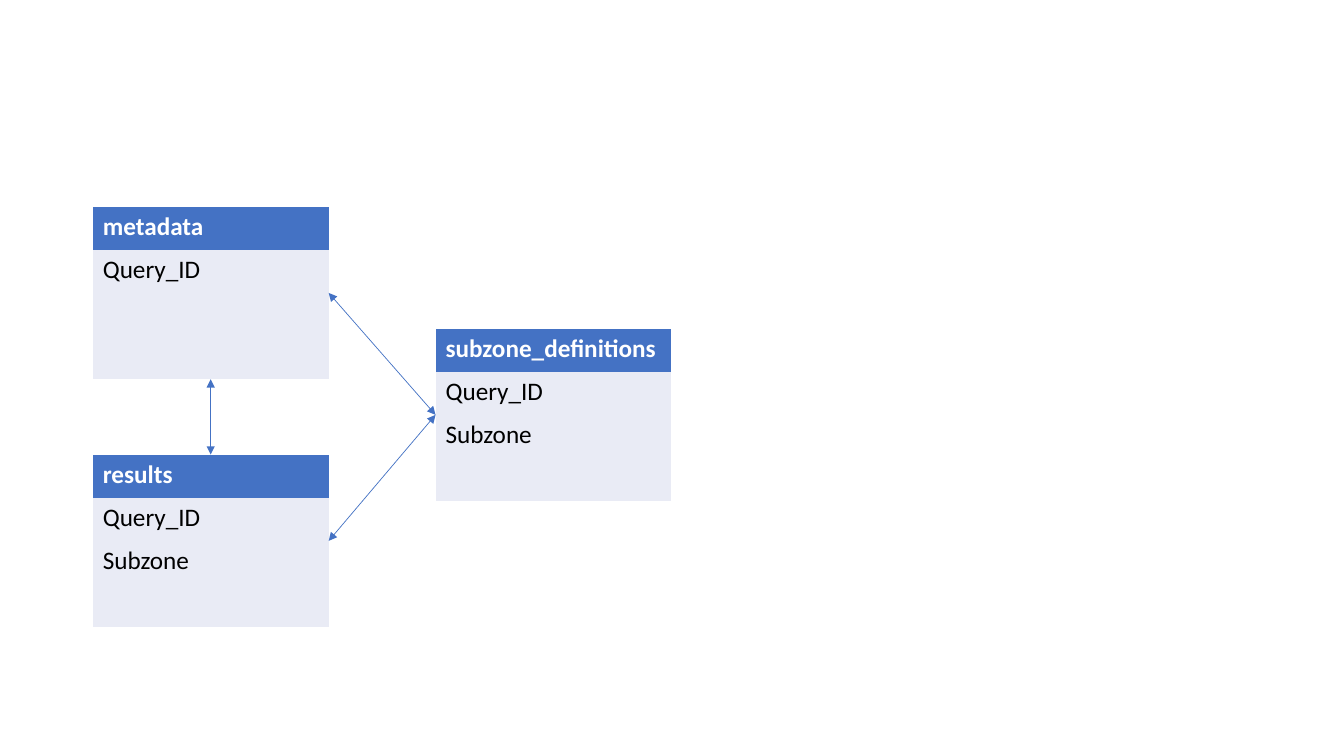
from dataclasses import dataclass

from lxml import etree
from pptx import Presentation
from pptx.dml.color import RGBColor
from pptx.enum.shapes import MSO_CONNECTOR
from pptx.oxml.ns import qn
from pptx.slide import Slide
from pptx.util import Inches, Pt

STRAIGHT = MSO_CONNECTOR.STRAIGHT
COLORS = {"accent": "4472C4", "body": "E9EBF5", "header_text": "FFFFFF", "body_text": "000000"}
FONT = "Calibri"
NO_GRID_STYLE = "{2D5ABB26-0587-4C30-8999-92F81FD0307C}"
ROW_COUNT = 4
ROW_HEIGHT = 0.428
ENTITY_WIDTH = 2.34
ENTITY_HEIGHT = ROW_COUNT * ROW_HEIGHT


@dataclass(frozen=True)
class Entity:
    name: str
    fields: tuple[str, ...]
    left: float
    top: float

    def anchor(self, across: float, down: float) -> tuple[float, float]:
        return self.left + across * ENTITY_WIDTH, self.top + down * ENTITY_HEIGHT


@dataclass(frozen=True)
class Relation:
    start: tuple[float, float]
    end: tuple[float, float]


METADATA = Entity("metadata", ("Query_ID",), 0.92, 2.05)
DEFINITIONS = Entity("subzone_definitions", ("Query_ID", "Subzone"), 4.32, 3.26)
RESULTS = Entity("results", ("Query_ID", "Subzone"), 0.92, 4.51)
ENTITIES = (METADATA, DEFINITIONS, RESULTS)

RELATIONS = (
    Relation(METADATA.anchor(1, 0.5), DEFINITIONS.anchor(0, 0.5)),
    Relation(METADATA.anchor(0.5, 1), RESULTS.anchor(0.5, 0)),
    Relation(DEFINITIONS.anchor(0, 0.5), RESULTS.anchor(1, 0.5)),
)


def color(name: str) -> RGBColor:
    return RGBColor.from_string(COLORS[name])


def draw_entity(slide: Slide, entity: Entity) -> None:
    frame = slide.shapes.add_table(
        ROW_COUNT, 1, Inches(entity.left), Inches(entity.top),
        Inches(ENTITY_WIDTH), Inches(ENTITY_HEIGHT),
    )
    table = frame.table
    table.horz_banding = False
    table._tbl.tblPr.find(qn("a:tableStyleId")).text = NO_GRID_STYLE
    texts = (entity.name, *entity.fields)
    for index, row in enumerate(table.rows):
        row.height = Inches(ROW_HEIGHT)
        is_header = index == 0
        cell = row.cells[0]
        cell.fill.solid()
        cell.fill.fore_color.rgb = color("accent" if is_header else "body")
        paragraph = cell.text_frame.paragraphs[0]
        paragraph.font.size = Pt(18)
        if index < len(texts):
            paragraph.text = texts[index]
        for run in paragraph.runs:
            run.font.name = FONT
            run.font.size = Pt(18)
            run.font.bold = is_header
            run.font.color.rgb = color("header_text" if is_header else "body_text")


def draw_relation(slide: Slide, relation: Relation) -> None:
    points = (Inches(value) for value in (*relation.start, *relation.end))
    connector = slide.shapes.add_connector(STRAIGHT, *points)
    connector.line.color.rgb = color("accent")
    connector.line.width = Pt(0.5)
    properties = connector._element.spPr
    outline = properties.find(qn("a:ln"))
    for tag in ("a:headEnd", "a:tailEnd"):
        etree.SubElement(outline, qn(tag), type="triangle")
    etree.SubElement(properties, qn("a:effectLst"))


def main() -> None:
    presentation = Presentation()
    presentation.slide_width = Inches(13.33)
    presentation.slide_height = Inches(7.5)
    slide = presentation.slides.add_slide(presentation.slide_layouts[6])
    for entity in ENTITIES:
        draw_entity(slide, entity)
    for relation in RELATIONS:
        draw_relation(slide, relation)
    presentation.save("out.pptx")


if __name__ == "__main__":
    main()
